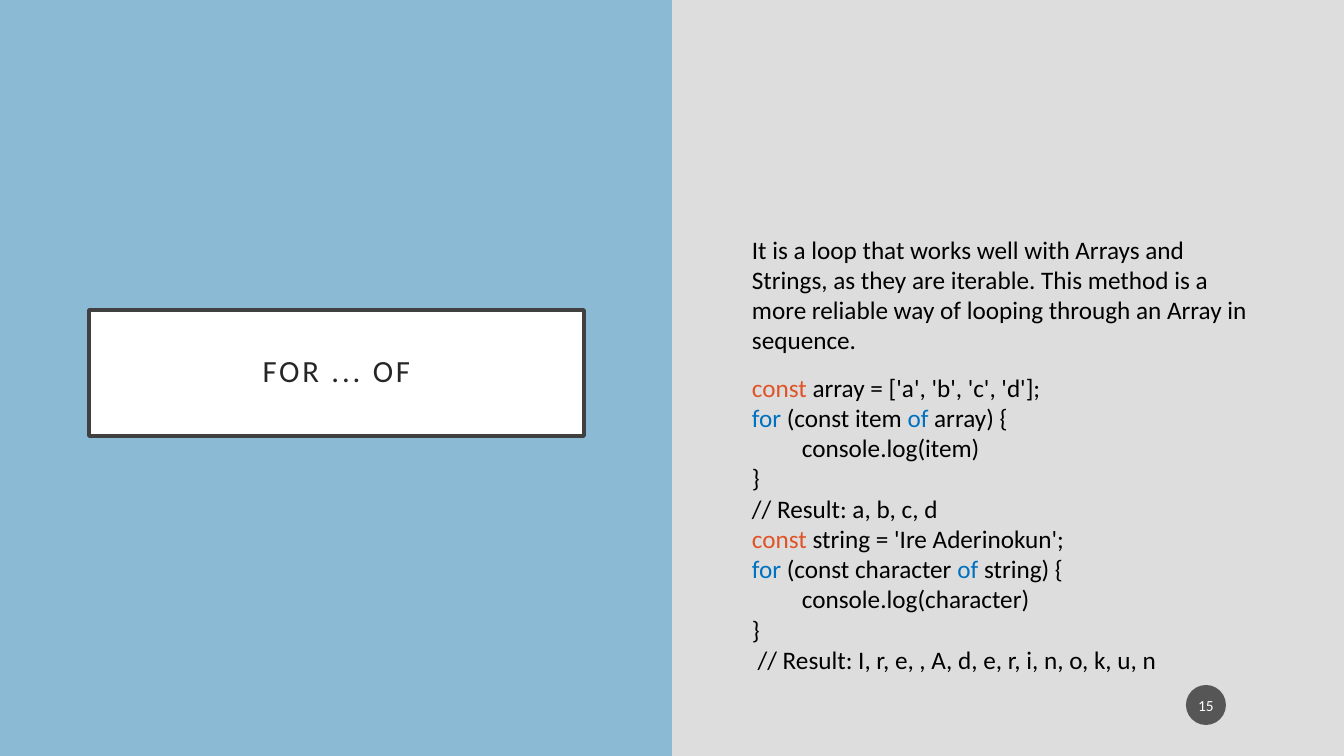
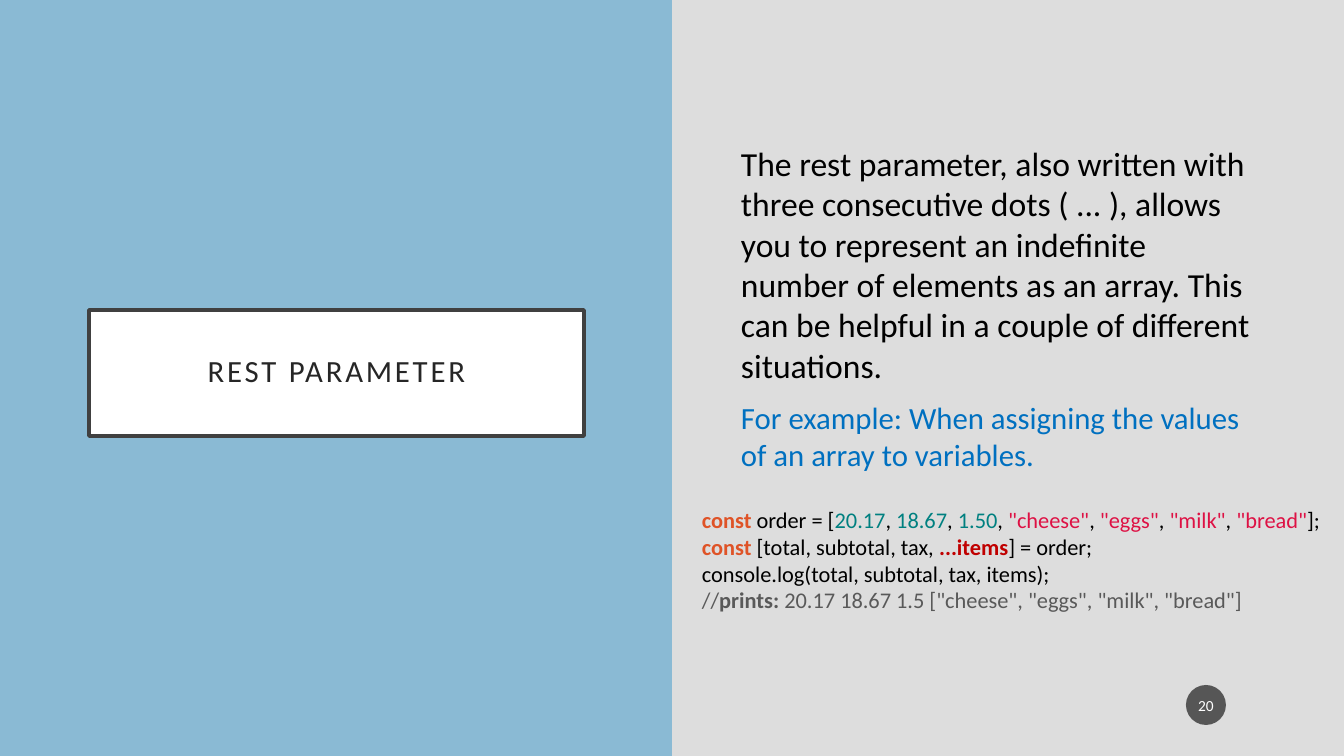
import pptx
import pptx.util
import pptx.dml.color
import pptx.enum.shapes
import pptx.enum.text
import pptx.oxml.ns
import lxml.etree

PIXEL = 914400 / 100.8
WIDTH, HEIGHT = 1344, 756
FONT = "Calibri"
BACKDROP, BAND, WHITE, BLACK = "DDDDDD", "8ABAD4", "FFFFFF", "000000"
FRAME, TITLE, BADGE = "404040", "262626", "1D1D1D"
ORANGE, BLUE, TEAL, PINK, RED, GRAY = "DF5327", "0070C0", "008080", "DD1144", "C00000", "595959"
CENTER = pptx.enum.text.PP_ALIGN.CENTER
LEFT = pptx.enum.text.PP_ALIGN.LEFT
MIDDLE = pptx.enum.text.MSO_ANCHOR.MIDDLE
TOP = pptx.enum.text.MSO_ANCHOR.TOP


def px(length):
    return pptx.util.Emu(round(length * PIXEL))


def rgb(color):
    return pptx.dml.color.RGBColor.from_string(color)


def paint(shape, fill, line=None, alpha=None):
    shape.fill.solid()
    shape.fill.fore_color.rgb = rgb(fill)
    if alpha is not None:
        color = shape.element.spPr.find(".//" + pptx.oxml.ns.qn("a:srgbClr"))
        lxml.etree.SubElement(color, pptx.oxml.ns.qn("a:alpha"), val=str(alpha * 1000))
    if line:
        shape.line.color.rgb = rgb(line)
        shape.line.width = pptx.util.Pt(2.5)
    else:
        shape.line.fill.background()


def write(shape, lines, size=18, color=BLACK, align=LEFT, anchor=TOP, insets=(10, 5),
          line_spacing=1.0, gap=0, tracking=0):
    frame = shape.text_frame
    frame.word_wrap = True
    frame.auto_size = pptx.enum.text.MSO_AUTO_SIZE.NONE
    frame.vertical_anchor = anchor
    frame.margin_left = frame.margin_right = px(insets[0])
    frame.margin_top = frame.margin_bottom = px(insets[1])
    for index, line in enumerate(lines):
        paragraph = frame.add_paragraph() if index else frame.paragraphs[0]
        paragraph.alignment = align
        paragraph.line_spacing = line_spacing
        paragraph.space_before = pptx.util.Pt(gap if index else 0)
        if isinstance(line, str):
            line = [(line, {})]
        for text, style in line:
            run = paragraph.add_run()
            run.text = text
            run.font.name = FONT
            run.font.size = pptx.util.Pt(style.get("size", size))
            run.font.bold = style.get("bold", False)
            run.font.color.rgb = rgb(style.get("color", color))
            if tracking:
                run.font._element.set("spc", str(tracking * 100))
            if "indent" in style:
                paragraph._p.get_or_add_pPr().set("marL", str(px(style["indent"])))


def add_text(slide, box, lines, **style):
    write(slide.shapes.add_textbox(*map(px, box)), lines, **style)


def add_shape(slide, kind, box, fill, alpha=None):
    shape = slide.shapes.add_shape(kind, *map(px, box))
    shape.shadow.inherit = False
    paint(shape, fill, alpha=alpha)
    return shape


def title_panel(slide, box, heading):
    left, top, width, height = box
    band = add_shape(slide, pptx.enum.shapes.MSO_SHAPE.RECTANGLE, box, BAND)
    slide.shapes.element.insert(2, band.element)
    title = slide.shapes.title
    title.left, title.top = px(left + 89), px(top + 310)
    title.width, title.height = px(width - 177), px(126)
    paint(title, WHITE, line=FRAME)
    write(title, [heading], size=22, color=TITLE, align=CENTER, anchor=MIDDLE,
          insets=(20, 20), line_spacing=0.9, tracking=2)


def page_badge(slide, box, number):
    badge = add_shape(slide, pptx.enum.shapes.MSO_SHAPE.OVAL, box, BADGE, alpha=70)
    write(badge, [number], size=11, color=WHITE, align=CENTER, anchor=MIDDLE, insets=(2, 5))


def topic_slide(deck, heading, number):
    slide = deck.slides.add_slide(deck.slide_layouts[5])
    title_panel(slide, (0, 0, WIDTH // 2, HEIGHT), heading)
    page_badge(slide, (1186, 685, 40, 40), number)
    return slide


def plain(text):
    return text, {}


def tinted(text, color, bold=False):
    return text, {"color": color, "bold": bold}


def loop_code(name, value, item, result):
    return [
        [tinted("const ", ORANGE), plain(f"{name} = {value};")],
        [tinted("for ", BLUE), plain(f"(const {item} "), tinted("of", BLUE), plain(f" {name}) {{")],
        [(f"console.log({item})", {"indent": 50})],
        "}",
        result,
    ]


def for_of_slide(deck):
    slide = topic_slide(deck, "FOR ... OF", "15")
    add_text(slide, (742, 229, 531, 351), [
        "It is a loop that works well with Arrays and Strings, as they are iterable. "
        "This method is a more reliable way of looping through an Array in sequence."])
    array_loop = loop_code("array", "['a', 'b', 'c', 'd']", "item", "// Result: a, b, c, d")
    string_loop = loop_code("string", "'Ire Aderinokun'", "character",
                            " // Result: I, r, e, , A, d, e, r, i, n, o, k, u, n")
    add_text(slide, (742, 367, 451, 316), array_loop + string_loop)


def order_line():
    values = [(price, TEAL) for price in ("20.17", "18.67", "1.50")]
    values += [(f'"{food}"', PINK) for food in ("cheese", "eggs", "milk", "bread")]
    runs = [tinted("const ", ORANGE, bold=True), plain("order = [")]
    for index, (value, color) in enumerate(values):
        if index:
            runs.append(plain(", "))
        runs.append(tinted(value, color))
    return runs + [plain("];")]


def rest_parameter_slide(deck):
    slide = topic_slide(deck, "REST PARAMETER", "20")
    add_text(slide, (731, 138, 531, 351), [
        "The\u00a0rest parameter, also written with three consecutive dots (\u00a0...\u00a0), "
        "allows you to represent an indefinite number of elements as an array. "
        "This can be helpful in a couple of different situations.",
        [("For example: When assigning the values of an array to variables.",
          {"size": 22, "color": BLUE})],
    ], size=24, gap=10)
    add_text(slide, (692, 501, 652, 119), [
        order_line(),
        [tinted("const ", ORANGE, bold=True), plain("[total, subtotal, tax, "),
         tinted("...items", RED, bold=True), plain("] = order;")],
        "console.log(total, subtotal, tax, items);",
        [tinted("//", GRAY), tinted("prints:", GRAY, bold=True),
         tinted('\u00a020.17 18.67 1.5 ["cheese", "eggs", "milk", "bread"]', GRAY)],
    ], size=16)


deck = pptx.Presentation()
deck.slide_width, deck.slide_height = px(WIDTH), px(HEIGHT)
backdrop = deck.slide_master.background.fill
backdrop.solid()
backdrop.fore_color.rgb = rgb(BACKDROP)
for_of_slide(deck)
rest_parameter_slide(deck)
deck.save("out.pptx")
